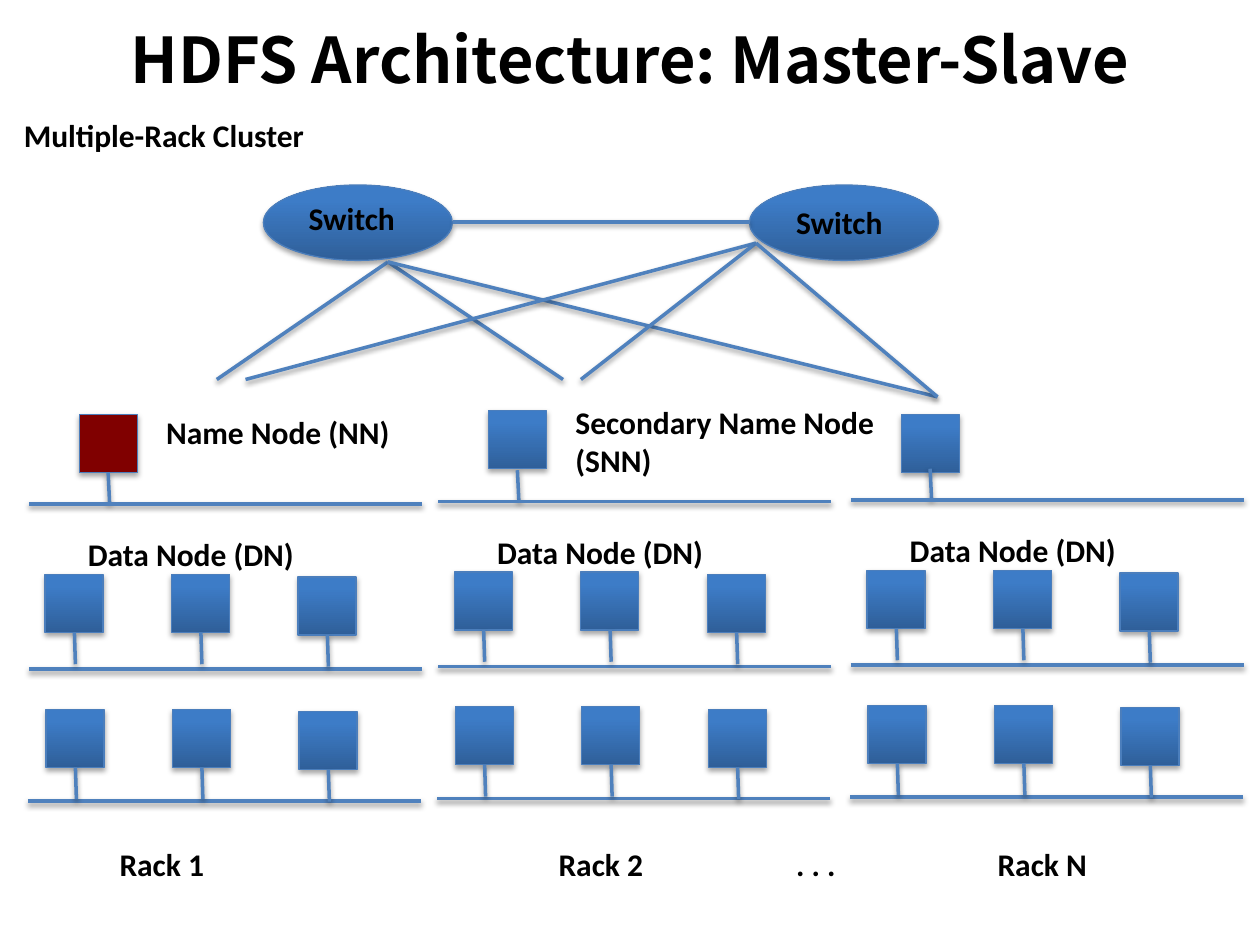
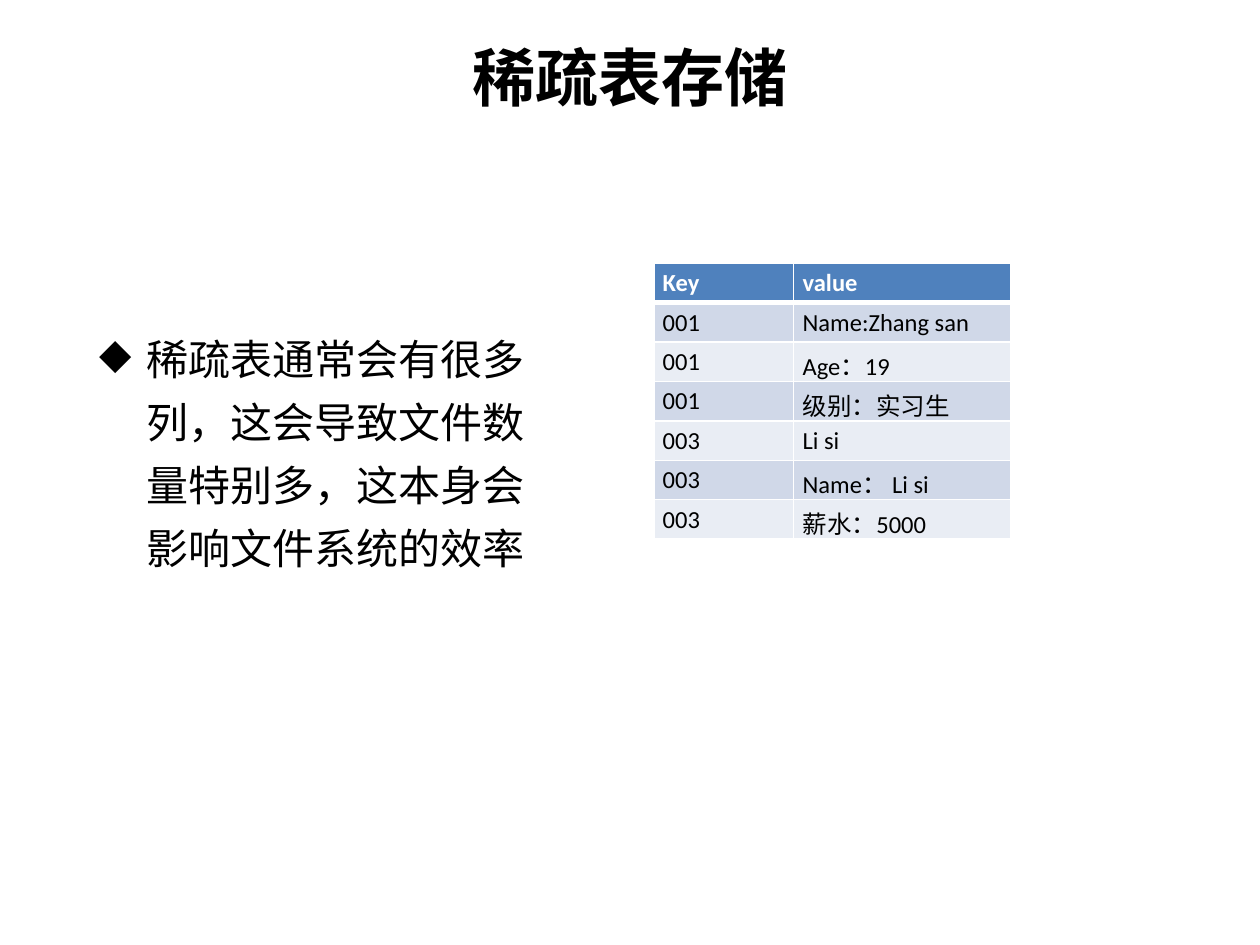
from lxml import etree
from pptx import Presentation
from pptx.dml.color import RGBColor
from pptx.enum.shapes import MSO_CONNECTOR, MSO_SHAPE
from pptx.enum.text import MSO_ANCHOR, PP_ALIGN
from pptx.oxml import parse_xml
from pptx.oxml.ns import qn
from pptx.util import Cm, Pt

STRAIGHT = MSO_CONNECTOR.STRAIGHT
RECT, OVAL = MSO_SHAPE.RECTANGLE, MSO_SHAPE.OVAL
LEFT, CENTER = PP_ALIGN.LEFT, PP_ALIGN.CENTER
TOP, MIDDLE = MSO_ANCHOR.TOP, MSO_ANCHOR.MIDDLE

COLORS = {
    "text": "000000", "white": "FFFFFF", "master": "800000",
    "node_dark": "2F5F99", "node_light": "3D7CC7", "node_edge": "4B7EBC",
    "cable": "4F81BD", "header": "4F81BD", "odd": "D0D8E8", "even": "E9EDF4",
}
RGB = {name: RGBColor.from_string(value) for name, value in COLORS.items()}
LATIN, CJK = "Calibri", "Noto Sans CJK SC"
DRAWING_NS = "http://schemas.openxmlformats.org/drawingml/2006/main"


def write(frame, text, size=18, bold=True, color="text", font=LATIN,
          align=LEFT, anchor=TOP, bullet=None, spacing=None):
    frame.word_wrap = True
    frame.vertical_anchor = anchor
    paragraph = frame.paragraphs[0]
    paragraph.alignment = align
    if bullet:
        properties = paragraph._p.get_or_add_pPr()
        properties.set("marL", str(Cm(0.95)))
        properties.set("indent", str(-Cm(0.95)))
        etree.SubElement(properties, qn("a:buChar")).set("char", bullet)
    if spacing:
        paragraph.line_spacing = Pt(spacing)
    run = paragraph.add_run()
    run.text = text
    run.font.size = Pt(size)
    run.font.bold = bold
    run.font.color.rgb = RGB[color]
    run.font.name = font
    etree.SubElement(run._r.get_or_add_rPr(), qn("a:ea")).set("typeface", CJK)


def outline(part, color, width, distance, opacity):
    part.line.color.rgb = RGB[color]
    part.line.width = Pt(width)
    part._element.spPr.append(parse_xml(
        f'<a:effectLst xmlns:a="{DRAWING_NS}">'
        f'<a:outerShdw blurRad="{Pt(3.1)}" dist="{Pt(distance)}" dir="5400000" rotWithShape="0">'
        f'<a:srgbClr val="000000"><a:alpha val="{opacity * 1000}"/></a:srgbClr>'
        '</a:outerShdw></a:effectLst>'))


prs = Presentation()
prs.slide_width, prs.slide_height = Cm(25.4), Cm(19.05)
blank = prs.slide_layouts[6]
cluster = prs.slides.add_slide(blank)
storage = prs.slides.add_slide(blank)

for slide, title, top, height in [
    (cluster, "HDFS Architecture: Master-Slave", -0.41, 3.18),
    (storage, "稀疏表存储", 0.3, 2.46),
]:
    heading = slide.shapes.add_textbox(Cm(1.27), Cm(top), Cm(22.86), Cm(height))
    write(heading.text_frame, title, size=36, font=CJK, align=CENTER, anchor=MIDDLE)

side, stem = 1.17, 0.64
switch_a, switch_b = (7.82, 5.28), (15.24, 4.9)
nodes = [(OVAL, left, 3.73, 3.81, 1.52, False) for left in (5.31, 15.11)]
cables = [
    (*switch_a, 4.37, 7.65), (*switch_a, 11.35, 7.65), (*switch_a, 18.9, 8),
    (*switch_b, 4.95, 7.65), (*switch_b, 11.71, 7.65), (*switch_b, 18.9, 8),
    (9.14, 4.47, 15.11, 4.47),
]
labels = [
    ("Multiple-Rack Cluster", 0.23, 2.21, 6.43),
    ("Switch", 5.97, 3.89, 2.46),
    ("Switch", 15.8, 3.96, 2.69),
    ("Name Node (NN)", 3.1, 8.2, 5.33),
    ("Secondary Name Node (SNN)", 11.35, 8, 8.15),
    (". . .", 15.8, 16.92, 1.7),
]

racks = [("Rack 1", 0, 0, 8.36), ("Rack 2", 8.25, -0.05, 8.28), ("Rack N", 16.57, -0.08, 8.36)]
for index, (rack, dx, dy, master_top) in enumerate(racks):
    labels.append((rack, 2.16 + 8.85 * index, 16.92, 2.69))
    labels.append(("Data Node (DN)", 1.52 + dx, 10.67 + dy, 5.33))
    nodes.append((RECT, 1.6 + dx, master_top, side, side, index == 0))
    cables.append((2.18 + dx, 9.53 + dy, 2.21 + dx, 10.16 + dy))
    for rail_left, rail_top in [(0.58, 10.16), (0.58, 13.49), (0.56, 16.15)]:
        cables.append((rail_left + dx, rail_top + dy, rail_left + dx + 7.93, rail_top + dy))
    for row_left, row_top in [(0.91, 11.58), (0.93, 14.3)]:
        for column in range(3):
            left = row_left + dx + 2.55 * column
            top = row_top + dy + (0.05 if column == 2 else 0)
            bottom = top + side
            nodes.append((RECT, left, top, side, side, False))
            cables.append((left + 0.59, bottom, left + 0.61, bottom + stem))

for form, left, top, width, height, is_master in nodes:
    node = cluster.shapes.add_shape(form, Cm(left), Cm(top), Cm(width), Cm(height))
    if is_master:
        node.fill.solid()
        node.fill.fore_color.rgb = RGB["master"]
    else:
        node.fill.gradient()
        node.fill.gradient_angle = 90
        dark, light = node.fill.gradient_stops
        dark.position, light.position = 0, 0.8
        dark.color.rgb, light.color.rgb = RGB["node_dark"], RGB["node_light"]
    outline(node, "node_edge", 0.75, 1.8, 35)

for cable_ends in cables:
    cable = cluster.shapes.add_connector(STRAIGHT, *[Cm(value) for value in cable_ends])
    outline(cable, "cable", 2, 1.6, 38)

for text, left, top, width in labels:
    label = cluster.shapes.add_textbox(Cm(left), Cm(top), Cm(width), Cm(1.02))
    write(label.text_frame, text)

body = storage.shapes.add_textbox(Cm(1.75), Cm(6.35), Cm(9.27), Cm(9.07))
write(body.text_frame, "稀疏表通常会有很多列，这会导致文件数量特别多，这本身会影响文件系统的效率",
      size=24, bold=False, font=CJK, bullet="◆", spacing=36)

records = [
    ("Key", "value"),
    ("001", "Name:Zhang san"),
    ("001", "Age：19"),
    ("001", "级别：实习生"),
    ("003", "Li si"),
    ("003", "Name： Li si"),
    ("003", "薪水：5000"),
]
key_values = storage.shapes.add_table(
    len(records), 2, Cm(13.18), Cm(5.31), Cm(7.19), Cm(5.46)).table
key_values.columns[0].width, key_values.columns[1].width = Cm(2.82), Cm(4.37)
for row, record in enumerate(records):
    is_header = row == 0
    fill = "header" if is_header else "odd" if row % 2 else "even"
    for column, text in enumerate(record):
        cell = key_values.cell(row, column)
        cell.margin_left = cell.margin_right = Cm(0.18)
        cell.margin_top = cell.margin_bottom = Cm(0.1)
        for edge in ("lnL", "lnR", "lnT", "lnB"):
            under_header = (row, edge) in [(0, "lnB"), (1, "lnT")]
            border = etree.SubElement(cell._tc.get_or_add_tcPr(), qn(f"a:{edge}"))
            border.set("w", str(Pt(3 if under_header else 1)))
            paint = etree.SubElement(border, qn("a:solidFill"))
            etree.SubElement(paint, qn("a:srgbClr")).set("val", COLORS["white"])
        cell.fill.solid()
        cell.fill.fore_color.rgb = RGB[fill]
        write(cell.text_frame, text, size=14, bold=is_header,
              color="white" if is_header else "text")

prs.save("out.pptx")
